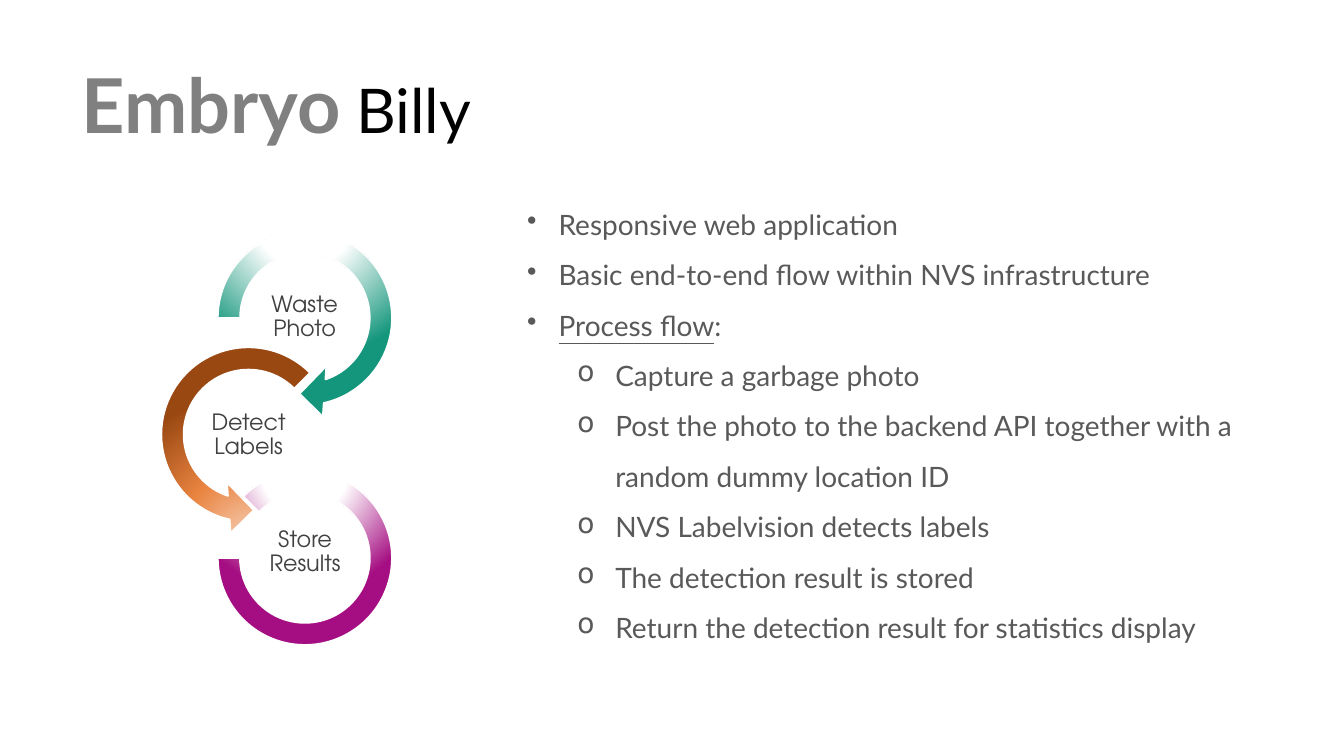
from lxml import etree
from pptx import Presentation
from pptx.dml.color import RGBColor
from pptx.enum import shapes, text
from pptx.oxml import parse_xml
from pptx.oxml.ns import nsdecls, qn
from pptx.util import Pt

BODY_FONT, CYCLE_FONT = "Lato", "TeX Gyre Adventor"
GRAY, BLACK, BODY_GRAY, LABEL_GRAY, WHITE = "808080", "000000", "595959", "404040", "FFFFFF"

TITLE = [("Embryo", 54, GRAY, True), (" Billy", 44, BLACK, False)]
# (level, [(words, underlined), ...])
POINTS = [
    (0, [("Responsive web application", False)]),
    (0, [("Basic end-to-end flow within NVS infrastructure", False)]),
    (0, [("Process flow", True), (":", False)]),
    (1, [("Capture a garbage photo", False)]),
    (1, [("Post the photo to the backend API together with a random dummy location ID", False)]),
    (1, [("NVS Labelvision detects labels", False)]),
    (1, [("The detection result is stored", False)]),
    (1, [("Return the detection result for statistics display", False)]),
]
BULLETS = [("•", 22.5, 22.5), ("o", 63, 27)]  # sign, left margin, hanging

PRESET = shapes.MSO_SHAPE
FADE_IN = (50, -80, 50, 180)
FADE_OUT = (50, 130, 50, -30)
# label, label left, preset, ring centre x, ring size, adjustments, gradient stops, gradient focus
STEPS = [
    ("Waste Photo", 177.3, PRESET.CIRCULAR_ARROW, 217.8, 144.7, (0.11, 11.42, 45, 108, 0.125),
     [(0, WHITE), (35, WHITE), (100, "14967C")], FADE_IN),
    ("Detect Labels", 137.3, PRESET.LEFT_CIRCULAR_ARROW, 177.5, 144.7, (0.11, 11.42, 63, 189, 0.125),
     [(0, "F6CBAF"), (46, "E98441"), (100, "9A4812")], FADE_OUT),
    ("Store Results", 177.6, PRESET.BLOCK_ARC, 217.8, 124.4, (135, 108, 0.127),
     [(0, WHITE), (35, WHITE), (100, "A50E82")], FADE_IN),
]
FIRST_CENTRE, STEP_PITCH = 227.1, 83.2
LABEL_W, LABEL_H = 80.6, 40.3


def rgb(hex_colour):
    return RGBColor.from_string(hex_colour)


def add_run(paragraph, words, size, colour, font=BODY_FONT, bold=False, underline=False):
    run = paragraph.add_run()
    run.text = words
    run.font.name, run.font.size = font, Pt(size)
    run.font.bold, run.font.underline = bold, underline
    run.font.color.rgb = rgb(colour)


def set_bullet(paragraph, sign, margin, hanging):
    properties = paragraph._p.get_or_add_pPr()
    properties.set("marL", str(Pt(margin)))
    properties.set("indent", str(-Pt(hanging)))
    etree.SubElement(properties, qn("a:buChar"), char=sign)


def fill_radial(shape, stops, focus):
    """Fill with a circular gradient; focus is left, top, right, bottom in percent."""
    stop_xml = "".join(
        f'<a:gs pos="{place * 1000}"><a:srgbClr val="{colour}"/></a:gs>' for place, colour in stops)
    edges = " ".join(f'{side}="{value * 1000}"' for side, value in zip("ltrb", focus))
    gradient = parse_xml(
        f'<a:gradFill {nsdecls("a")} rotWithShape="1"><a:gsLst>{stop_xml}</a:gsLst>'
        f'<a:path path="circle"><a:fillToRect {edges}/></a:path></a:gradFill>')
    shape._element.spPr.find(qn("a:prstGeom")).addnext(gradient)


def add_step(cycle, index, step):
    label, label_left, preset, centre_x, size, adjustments, stops, focus = step
    centre_y = FIRST_CENTRE + index * STEP_PITCH + (5 if preset == PRESET.BLOCK_ARC else 0)
    ring = cycle.shapes.add_shape(
        preset, Pt(centre_x - size / 2), Pt(centre_y - size / 2), Pt(size), Pt(size))
    for place, value in enumerate(adjustments):
        ring.adjustments[place] = value
    ring.shadow.inherit = False
    fill_radial(ring, stops, focus)
    ring.line.color.rgb = rgb(WHITE)
    ring.line.width = Pt(1.25)

    label_top = FIRST_CENTRE - 0.3 + index * (STEP_PITCH + 0.7) - LABEL_H / 2
    caption = cycle.shapes.add_textbox(Pt(label_left), Pt(label_top), Pt(LABEL_W), Pt(LABEL_H))
    frame = caption.text_frame
    frame.word_wrap = True
    frame.vertical_anchor = text.MSO_ANCHOR.MIDDLE
    frame.margin_left = frame.margin_top = frame.margin_right = frame.margin_bottom = Pt(0.8)
    paragraph = frame.paragraphs[0]
    paragraph.alignment = text.PP_ALIGN.CENTER
    paragraph.line_spacing = 0.9
    add_run(paragraph, label, 16, LABEL_GRAY, CYCLE_FONT)


def main():
    deck = Presentation()
    deck.slide_width, deck.slide_height = Pt(960), Pt(540)
    slide = deck.slides.add_slide(deck.slide_layouts[5])

    title = slide.shapes.title
    title.left, title.top, title.width, title.height = Pt(51), Pt(19.4), Pt(858), Pt(77)
    title.text_frame.auto_size = text.MSO_AUTO_SIZE.NONE
    title.text_frame.vertical_anchor = text.MSO_ANCHOR.MIDDLE
    heading = title.text_frame.paragraphs[0]
    heading.alignment = text.PP_ALIGN.LEFT
    heading.line_spacing = 1.5
    for words, size, colour, bold in TITLE:
        add_run(heading, words, size, colour, bold=bold)

    body = slide.shapes.add_textbox(Pt(369.4), Pt(132.5), Pt(540), Pt(375)).text_frame
    body.word_wrap = True
    for index, (level, pieces) in enumerate(POINTS):
        point = body.add_paragraph() if index else body.paragraphs[0]
        point.level = level
        point.line_spacing = 1.5
        set_bullet(point, *BULLETS[level])
        for words, underlined in pieces:
            add_run(point, words, 20, BODY_GRAY, underline=underlined)

    cycle = slide.shapes.add_group_shape()
    for index, step in enumerate(STEPS):
        add_step(cycle, index, step)

    deck.save("out.pptx")


if __name__ == "__main__":
    main()
